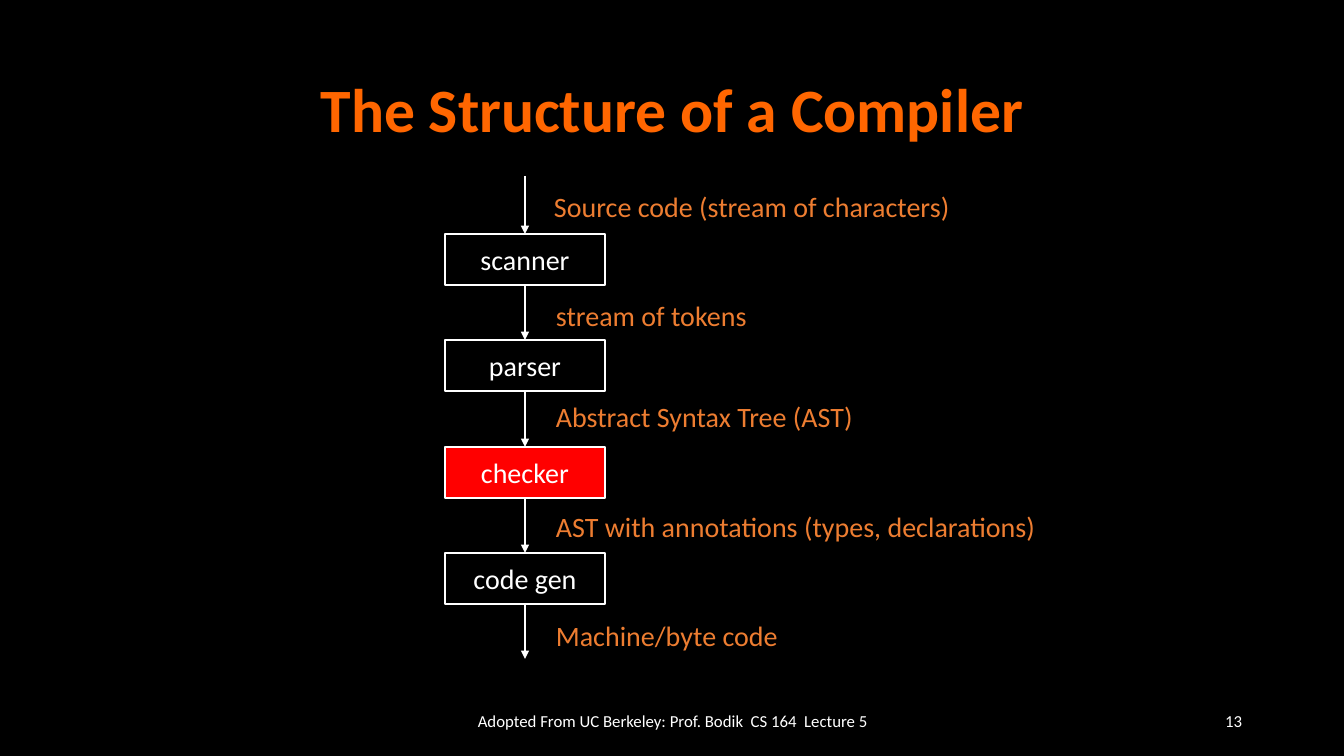
import pptx
import pptx.util
import pptx.dml.color
import pptx.enum.shapes
import pptx.enum.text
import pptx.oxml.ns
import lxml.etree
from dataclasses import dataclass

PX = 12192000 / 1344
ALIGN = pptx.enum.text.PP_ALIGN
MIDDLE = pptx.enum.text.MSO_ANCHOR.MIDDLE


@dataclass(frozen=True)
class Theme:
    font: str = "Calibri"
    back: str = "000000"
    title: str = "FF6600"
    label: str = "ED7D31"
    plain: str = "FFFFFF"
    focus: str = "FF0000"
    title_size: int = 44
    size: int = 20
    foot_size: int = 12


THEME = Theme()

STAGES = ["scanner", "parser", "checker", "code gen"]
FOCUS = "checker"
STAGE_LEFT, STAGE_TOP, STAGE_WIDTH, STAGE_HEIGHT = 445, 234, 160, 51
FLOW_X, FLOW_TOP, FLOW_END = 525, 176, 659

# text, left, top, width
LABELS = [
    ("Source code (stream of characters)", 544, 185, 421),
    ("stream of tokens", 546, 294, 215),
    ("Abstract Syntax Tree (AST)", 546, 395, 324),
    ("AST with annotations (types, declarations)", 546, 505, 505),
    ("Machine/byte code", 546, 614, 245),
]
LABEL_HEIGHT = 44


def emu(*lengths):
    return [pptx.util.Emu(round(length * PX)) for length in lengths]


def color(code):
    return pptx.dml.color.RGBColor.from_string(code)


def write(shape, text, size, code, align, bold=False):
    """Fill the shape with one formatted paragraph and return it."""
    para = shape.text_frame.paragraphs[0]
    para.text = text
    para.alignment = align
    para.font.name = THEME.font
    para.font.size = pptx.util.Pt(size)
    para.font.bold = bold
    para.font.color.rgb = color(code)
    return para


def set_title(slide, text):
    title = slide.shapes.title
    title.left, title.top, title.width, title.height = emu(93, 40, 1159, 146)
    frame = title.text_frame
    frame.word_wrap = True
    frame.auto_size = pptx.enum.text.MSO_AUTO_SIZE.NONE
    frame.vertical_anchor = MIDDLE
    para = write(title, text, THEME.title_size, THEME.title, ALIGN.CENTER, True)
    para.line_spacing = 0.9


def add_stage(slide, text, top):
    box = slide.shapes.add_shape(
        pptx.enum.shapes.MSO_SHAPE.RECTANGLE,
        *emu(STAGE_LEFT, top, STAGE_WIDTH, STAGE_HEIGHT))
    box.shadow.inherit = False
    if text == FOCUS:
        box.fill.solid()
        box.fill.fore_color.rgb = color(THEME.focus)
    else:
        box.fill.background()
    box.line.color.rgb = color(THEME.plain)
    box.line.width = pptx.util.Pt(1.5)
    box.text_frame.word_wrap = False
    box.text_frame.vertical_anchor = MIDDLE
    write(box, text, THEME.size, THEME.plain, ALIGN.CENTER)
    return box


def add_arrow(slide, start, end, source=None, target=None):
    """Draw an arrow, joined to the bottom of source and the top of target."""
    arrow = slide.shapes.add_connector(
        pptx.enum.shapes.MSO_CONNECTOR.STRAIGHT, *emu(*start, *end))
    if source is not None:
        arrow.begin_connect(source, 2)
    if target is not None:
        arrow.end_connect(target, 0)
    arrow.line.color.rgb = color(THEME.plain)
    arrow.line.width = pptx.util.Pt(1)
    qn = pptx.oxml.ns.qn
    lxml.etree.SubElement(arrow.line._get_or_add_ln(), qn("a:tailEnd"),
                          type="triangle")
    lxml.etree.SubElement(arrow._element.spPr, qn("a:effectLst"))


def add_label(slide, text, left, top, width):
    box = slide.shapes.add_textbox(*emu(left, top, width, LABEL_HEIGHT))
    box.text_frame.word_wrap = False
    box.text_frame.auto_size = pptx.enum.text.MSO_AUTO_SIZE.SHAPE_TO_FIT_TEXT
    write(box, text, THEME.size, THEME.label, ALIGN.LEFT)


def add_foot(slide, text, left, width, align):
    box = slide.shapes.add_textbox(*emu(left, 701, width, 40))
    box.text_frame.word_wrap = True
    box.text_frame.vertical_anchor = MIDDLE
    write(box, text, THEME.foot_size, THEME.plain, align)


def add_flow(slide):
    """Stack the stages and chain them with arrows from top to bottom."""
    # the stages lie 106.5 px apart
    tops = [STAGE_TOP + 213 * i // 2 for i in range(len(STAGES))]
    boxes = [add_stage(slide, text, top) for text, top in zip(STAGES, tops)]
    starts = [FLOW_TOP] + [top + STAGE_HEIGHT for top in tops]
    ends = tops + [FLOW_END]
    for start, end, source, target in zip(
            starts, ends, [None] + boxes, boxes + [None]):
        add_arrow(slide, (FLOW_X, start), (FLOW_X, end), source, target)


def main():
    deck = pptx.Presentation()
    deck.slide_width, deck.slide_height = emu(1344, 756)
    slide = deck.slides.add_slide(deck.slide_layouts[5])
    slide.background.fill.solid()
    slide.background.fill.fore_color.rgb = color(THEME.back)
    set_title(slide, "The Structure of a Compiler")
    add_foot(slide, "Adopted From UC Berkeley: Prof. Bodik  CS 164  Lecture 5",
             446, 454, ALIGN.CENTER)
    add_foot(slide, "13", 950, 302, ALIGN.RIGHT)
    add_flow(slide)
    for label in LABELS:
        add_label(slide, *label)
    deck.save("out.pptx")


if __name__ == "__main__":
    main()
